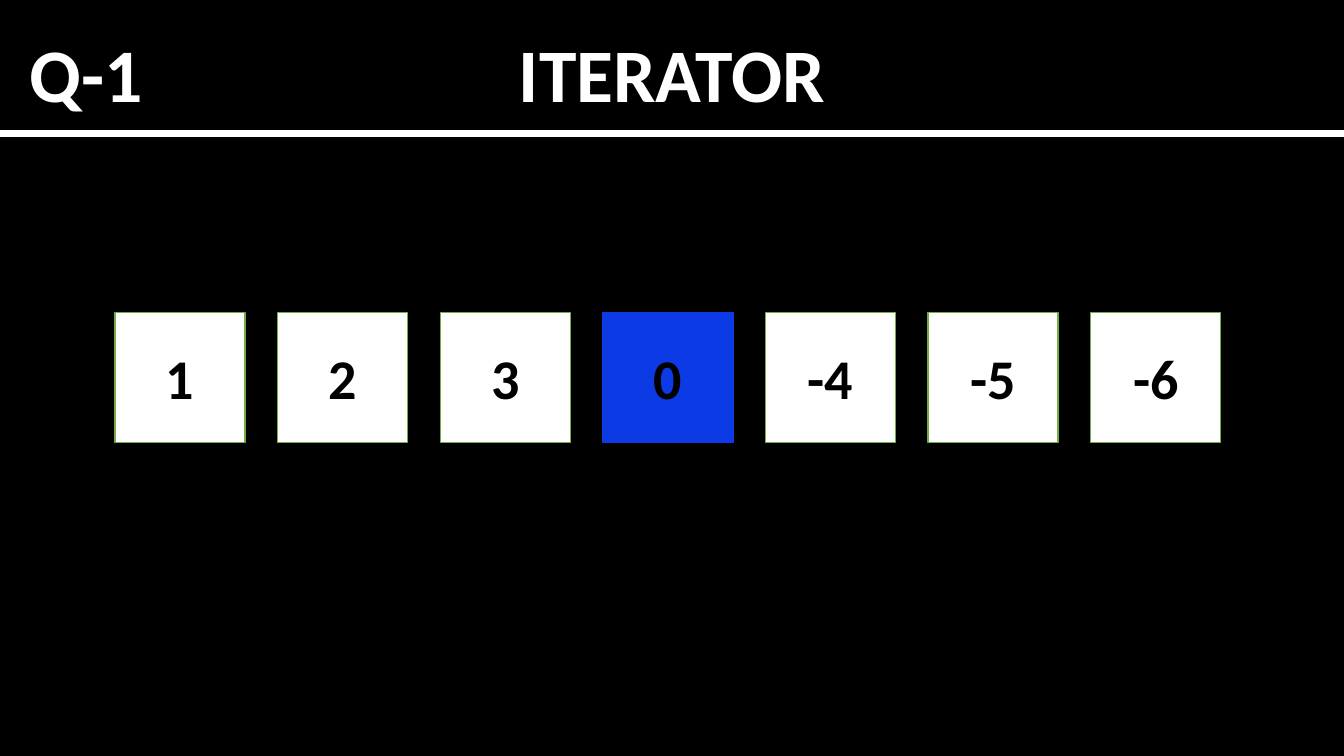
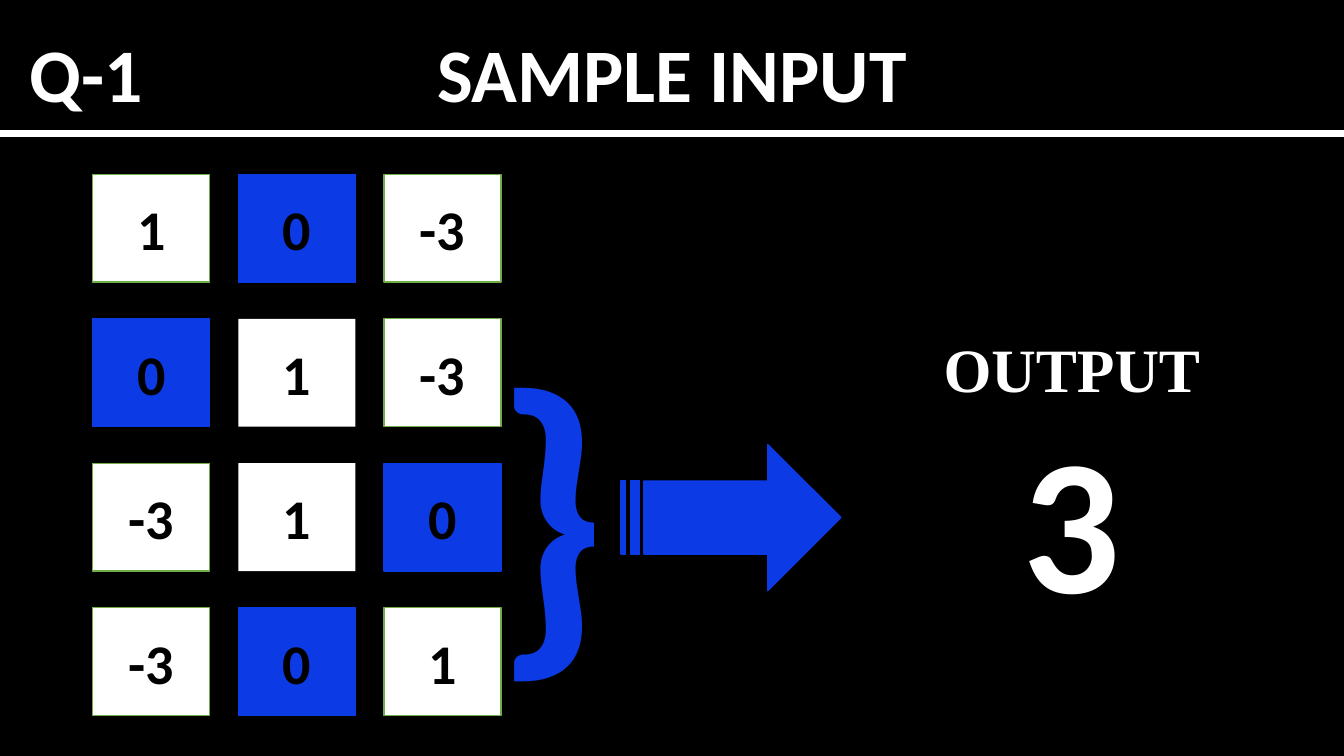
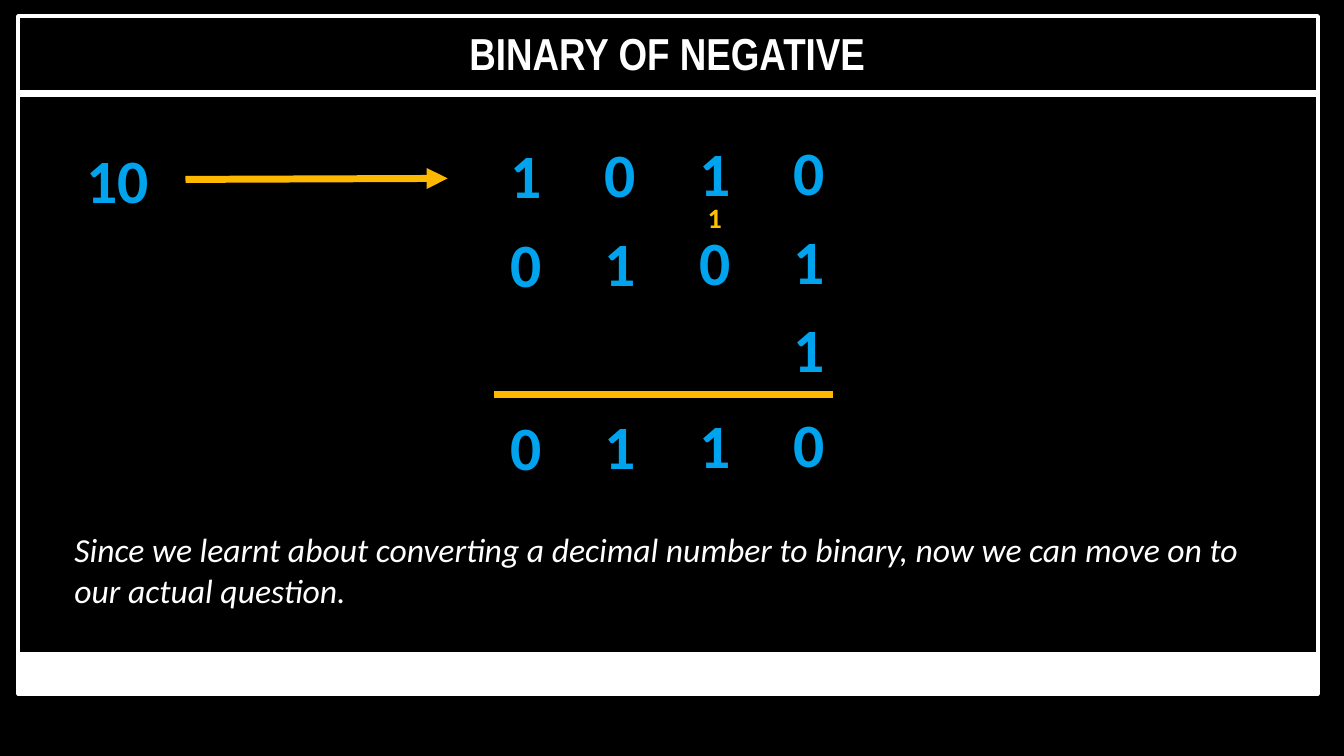
from lxml import etree
from pptx import Presentation
from pptx.dml.color import RGBColor
from pptx.enum import shapes, text
from pptx.oxml.ns import qn
from pptx.util import Inches, Pt

BLACK = RGBColor(0x00, 0x00, 0x00)
WHITE = RGBColor(0xFF, 0xFF, 0xFF)
GREEN = RGBColor(0x70, 0xAD, 0x47)
BLUE = RGBColor(0x0C, 0x3A, 0xE5)
SKY = RGBColor(0x00, 0xA3, 0xEE)
AMBER = RGBColor(0xFE, 0xB8, 0x00)
CARRY = RGBColor(0xFF, 0xC0, 0x00)

QUESTION = "Q-1"
WIDTH, HEIGHT = 13.33, 7.5

ITERATOR = [["1", "2", "3", "0", "-4", "-5", "-6"]]
SAMPLE = [
    ["1", "0", "-3"],
    ["0", "1", "-3"],
    ["-3", "1", "0"],
    ["-3", "0", "1"],
]
SAMPLE_BORDERLESS = {(1, 1), (2, 1)}

DECIMAL = "10"
BINARY_ROWS = [  # top of the first digit, then one digit per column
    (1.31, ["1", "0", "1", "0"]),
    (2.19, ["0", "1", "0", "1"]),
    (3.07, ["", "", "", "1"]),
    (4.01, ["0", "1", "1", "0"]),
]
CLOSING = ("Since we learnt about converting a decimal number to binary, "
           "now we can move on to our actual question.")


def new_slide(deck):
    slide = deck.slides.add_slide(deck.slide_layouts[6])
    slide.background.fill.solid()
    slide.background.fill.fore_color.rgb = BLACK
    return slide


def write(frame, words, size, color, font="Calibri", align=text.PP_ALIGN.CENTER,
          bold=True, italic=False):
    paragraph = frame.paragraphs[0]
    paragraph.text = words
    paragraph.alignment = align
    style = paragraph.runs[0].font
    style.name, style.size = font, Pt(size)
    style.bold, style.italic = bold, italic
    style.color.rgb = color
    return paragraph


def add_label(slide, box, words, size, color, **style):
    frame = slide.shapes.add_textbox(*map(Inches, box)).text_frame
    frame.word_wrap = True
    frame.auto_size = text.MSO_AUTO_SIZE.SHAPE_TO_FIT_TEXT
    write(frame, words, size, color, **style)
    return frame


def add_block(slide, kind, box, fill=None, line=None, weight=1):
    block = slide.shapes.add_shape(kind, *map(Inches, box))
    block.shadow.inherit = False
    for part, color in ((block.fill, fill), (block.line.fill, line)):
        if color is None:
            part.background()
        else:
            part.solid()
            part.fore_color.rgb = color
    if line is not None:
        block.line.width = Pt(weight)
    return block


def add_rule(slide, start, end, color, arrow=False):
    rule = slide.shapes.add_connector(
        shapes.MSO_CONNECTOR.STRAIGHT, *map(Inches, (*start, *end)))
    rule.line.color.rgb = color
    rule.line.width = Pt(5)
    if arrow:
        etree.SubElement(rule.line._get_or_add_ln(), qn("a:tailEnd"), type="triangle")
    etree.SubElement(rule._element.spPr, qn("a:effectLst"))


def add_header(slide, title):
    add_label(slide, (3.32, 0.22, 6.69, 1.01), title, 54, WHITE)
    add_rule(slide, (0, 1.32), (WIDTH, 1.32), WHITE)
    add_label(slide, (0, 0.22, 1.71, 1.01), QUESTION, 54, WHITE)


def add_cells(slide, rows, origin, cell, pitch, borderless=()):
    """Draw a grid of number cells, with every zero in blue."""
    for r, row in enumerate(rows):
        for c, number in enumerate(row):
            fill, line = (BLUE, BLUE) if number == "0" else (WHITE, GREEN)
            if (r, c) in borderless:
                line = None
            box = (origin[0] + c * pitch[0], origin[1] + r * pitch[1], *cell)
            square = add_block(slide, shapes.MSO_SHAPE.RECTANGLE, box, fill, line)
            square.text_frame.vertical_anchor = text.MSO_ANCHOR.MIDDLE
            write(square.text_frame, number, 40, BLACK)


def build_iterator(deck):
    slide = new_slide(deck)
    add_header(slide, "ITERATOR")
    add_cells(slide, ITERATOR, (1.14, 3.1), (1.29, 1.29), (1.613, 0))


def build_sample(deck):
    slide = new_slide(deck)
    add_header(slide, "SAMPLE INPUT")
    left = text.PP_ALIGN.LEFT
    output = add_label(slide, (9.26, 2.97, 5.75, 1.45), "OUTPUT", 44, WHITE,
                       font="Times New Roman", align=left)
    output.auto_size = text.MSO_AUTO_SIZE.NONE
    output.vertical_anchor = text.MSO_ANCHOR.MIDDLE
    output.paragraphs[0].line_spacing = 0.9
    add_cells(slide, SAMPLE, (0.92, 1.73), (1.16, 1.07), (1.445, 1.433),
              SAMPLE_BORDERLESS)
    add_label(slide, (4.8, 2.91, 1.46, 4.12), "}", 239, BLUE, align=left)
    add_block(slide, shapes.MSO_SHAPE.STRIPED_RIGHT_ARROW,
              (6.16, 4.41, 2.18, 1.45), BLUE, BLUE)
    add_label(slide, (10.04, 3.92, 1.56, 2.42), "3", 138, WHITE, align=left)


def build_negative(deck):
    slide = new_slide(deck)
    rectangle = shapes.MSO_SHAPE.RECTANGLE
    add_block(slide, rectangle, (0.18, 0.16, 12.89, 6.72), line=WHITE, weight=3)
    add_block(slide, rectangle, (0.16, 6.47, 12.91, 0.4), fill=WHITE)
    add_rule(slide, (0.16, 0.93), (13.07, 0.93), WHITE)
    add_label(slide, (2.44, 0.21, 8.36, 0.64), "BINARY OF NEGATIVE", 32, WHITE,
              font="Arial Narrow")

    digit_size = (1.33, 0.84)
    add_label(slide, (0.5, 1.36, *digit_size), DECIMAL, 44, SKY)
    add_rule(slide, (1.84, 1.78), (4.44, 1.77), AMBER, arrow=True)
    for top, digits in BINARY_ROWS:
        for c, digit in enumerate(digits):
            if digit:
                box = (4.55 + c * 0.937, top - c * 0.01, *digit_size)
                add_label(slide, box, digit, 44, SKY)
    add_rule(slide, (4.9, 3.91), (8.26, 3.91), AMBER)
    add_label(slide, (6.62, 1.94, 0.94, 0.44), "1", 20, CARRY)
    add_label(slide, (0.64, 5.2, 11.95, 0.91), CLOSING, 24, WHITE,
              align=text.PP_ALIGN.LEFT, bold=False, italic=True)


def main():
    deck = Presentation()
    deck.slide_width, deck.slide_height = Inches(WIDTH), Inches(HEIGHT)
    for build in (build_iterator, build_sample, build_negative):
        build(deck)
    deck.save("out.pptx")


if __name__ == "__main__":
    main()
